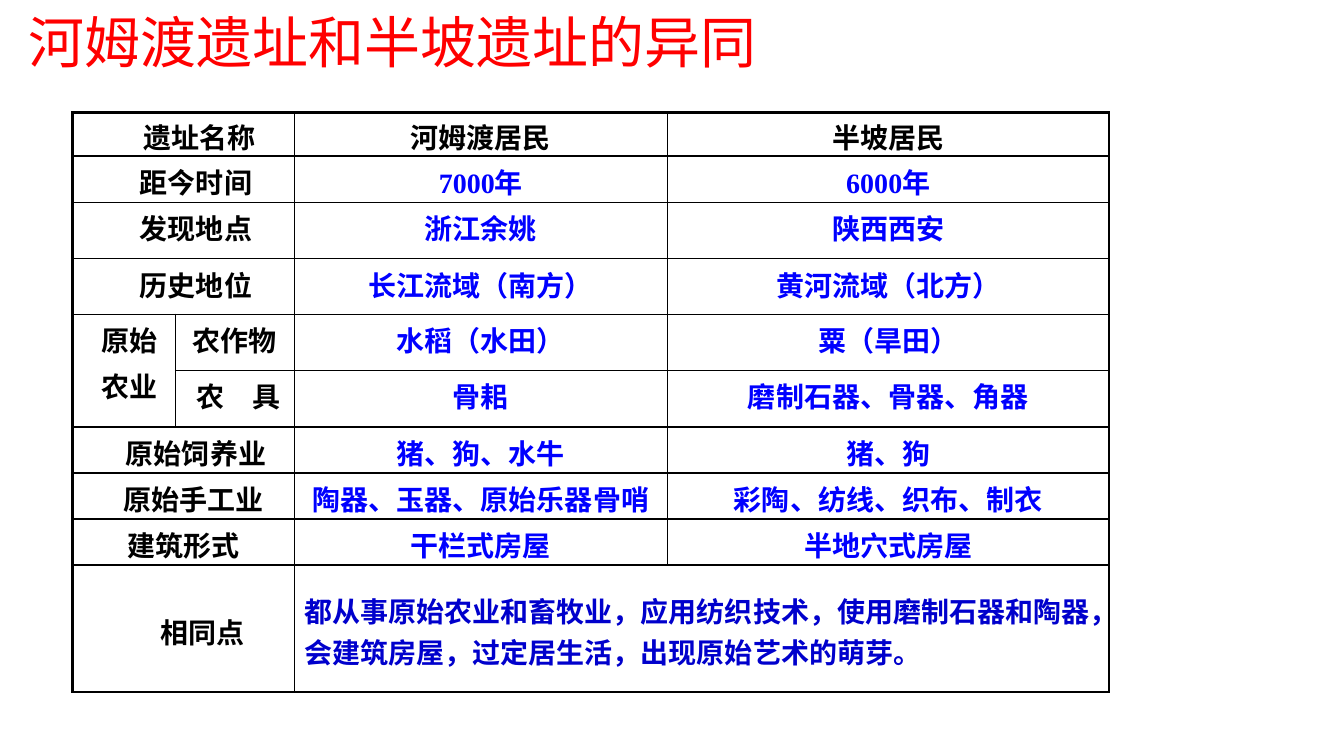
from lxml import etree
from pptx import Presentation
from pptx.dml.color import RGBColor
from pptx.enum.text import MSO_ANCHOR, PP_ALIGN
from pptx.oxml.ns import qn
from pptx.util import Cm, Pt

TOP, MIDDLE = MSO_ANCHOR.TOP, MSO_ANCHOR.MIDDLE
LEFT, CENTER = PP_ALIGN.LEFT, PP_ALIGN.CENTER
RED = RGBColor(0xFF, 0, 0)
BLACK = RGBColor(0, 0, 0)
BLUE = RGBColor(0, 0, 0xFF)
NAVY = RGBColor(0, 0, 0xCC)
THIN, THICK = Pt(1), Pt(2.25)

WIDTHS = [2.59, 3, 9.4, 11.13]
HEIGHTS = [1.09, 1.17, 1.42, 1.4, 1.42, 1.42, 1.16, 1.16, 1.16, 3.2]
ROWS = [
    ["遗址名称", "", "河姆渡居民", "半坡居民"],
    ["距今时间", "", "7000年", "6000年"],
    ["发现地点", "", "浙江余姚", "陕西西安"],
    ["历史地位", "", "长江流域（南方）", "黄河流域（北方）"],
    ["原始\n农业", "农作物", "水稻（水田）", "粟（旱田）"],
    ["", "农　具", "骨耜", "磨制石器、骨器、角器"],
    ["原始饲养业", "", "猪、狗、水牛", "猪、狗"],
    ["原始手工业", "", "陶器、玉器、原始乐器骨哨", "彩陶、纺线、织布、制衣"],
    ["建筑形式", "", "干栏式房屋", "半地穴式房屋"],
    ["相同点", "", "都从事原始农业和畜牧业，应用纺织技术，使用磨制石器和陶器，"
     "会建筑房屋，过定居生活，出现原始艺术的萌芽。", ""],
]
# Extra left margin of the row labels, in cm
SHIFTS = {(0, 0): 0.8, (1, 0): 0.63, (2, 0): 0.63, (3, 0): 0.63, (4, 0): 0.3,
          (5, 1): 0.16, (6, 0): 0.63, (7, 0): 0.5, (9, 0): 0.95}


def style(item, values):
    """Set each attribute named in values on item."""
    for name, value in values.items():
        setattr(item, name, value)


def edge(cell, side, width):
    """Draw one black border of a cell; side is L, R, T or B."""
    line = etree.SubElement(cell._tc.get_or_add_tcPr(), qn("a:ln" + side), w=str(width))
    fill = etree.SubElement(line, qn("a:solidFill"))
    etree.SubElement(fill, qn("a:srgbClr"), val=str(BLACK))


deck = Presentation()
style(deck, {"slide_width": Cm(33.87), "slide_height": Cm(19.05)})
slide = deck.slides.add_slide(deck.slide_layouts[6])

# Title
box = slide.shapes.add_textbox(Cm(0.48), Cm(0.05), Cm(18.85), Cm(1.96))
style(box.text_frame, {"word_wrap": False, "vertical_anchor": MIDDLE})
title = box.text_frame.paragraphs[0]
title.text = "河姆渡遗址和半坡遗址的异同"
style(title.font, {"name": "Arial", "size": Pt(40)})
title.font.color.rgb = RED

# Table grid
frame = slide.shapes.add_table(len(ROWS), len(WIDTHS), Cm(1.83), Cm(2.84),
                               Cm(sum(WIDTHS)), Cm(sum(HEIGHTS)))
table = frame.table
style(table, {"first_row": False, "horz_banding": False})
for col, width in zip(table.columns, WIDTHS):
    col.width = Cm(width)
for row, height in zip(table.rows, HEIGHTS):
    row.height = Cm(height)

# Merged cells
last = len(ROWS) - 1
for r in range(len(ROWS)):
    if r not in (4, 5):
        table.cell(r, 0).merge(table.cell(r, 1))
table.cell(4, 0).merge(table.cell(5, 0))
table.cell(last, 2).merge(table.cell(last, 3))

# Cell text and borders
for r, texts in enumerate(ROWS):
    for c, text in enumerate(texts):
        cell = table.cell(r, c)
        final = r == last
        right = c + (cell.span_width if cell.is_merge_origin else 1)
        outer = {"L": c == 0, "R": right == len(WIDTHS), "T": r == 0, "B": final}
        for side, thick in outer.items():
            edge(cell, side, THICK if thick else THIN)
        cell.fill.background()
        style(cell, {
            "margin_left": Cm(0.25 + SHIFTS.get((r, c), 0)),
            "margin_right": Cm(0.25),
            "margin_top": Cm(0.07 if r == 0 else 0.12),
            "margin_bottom": Cm(0),
            "vertical_anchor": MIDDLE if final else TOP,
        })
        cell.text = text
        body = final and c >= 2
        color = BLACK if r == 0 or c < 2 else NAVY if body else BLUE
        for n, para in enumerate(cell.text_frame.paragraphs):
            para.alignment = LEFT if body else CENTER
            if n:
                para.space_before = Pt(4)
            style(para.font, {"name": "Times New Roman", "size": Pt(20), "bold": True})
            para.font.color.rgb = color

deck.save("out.pptx")
